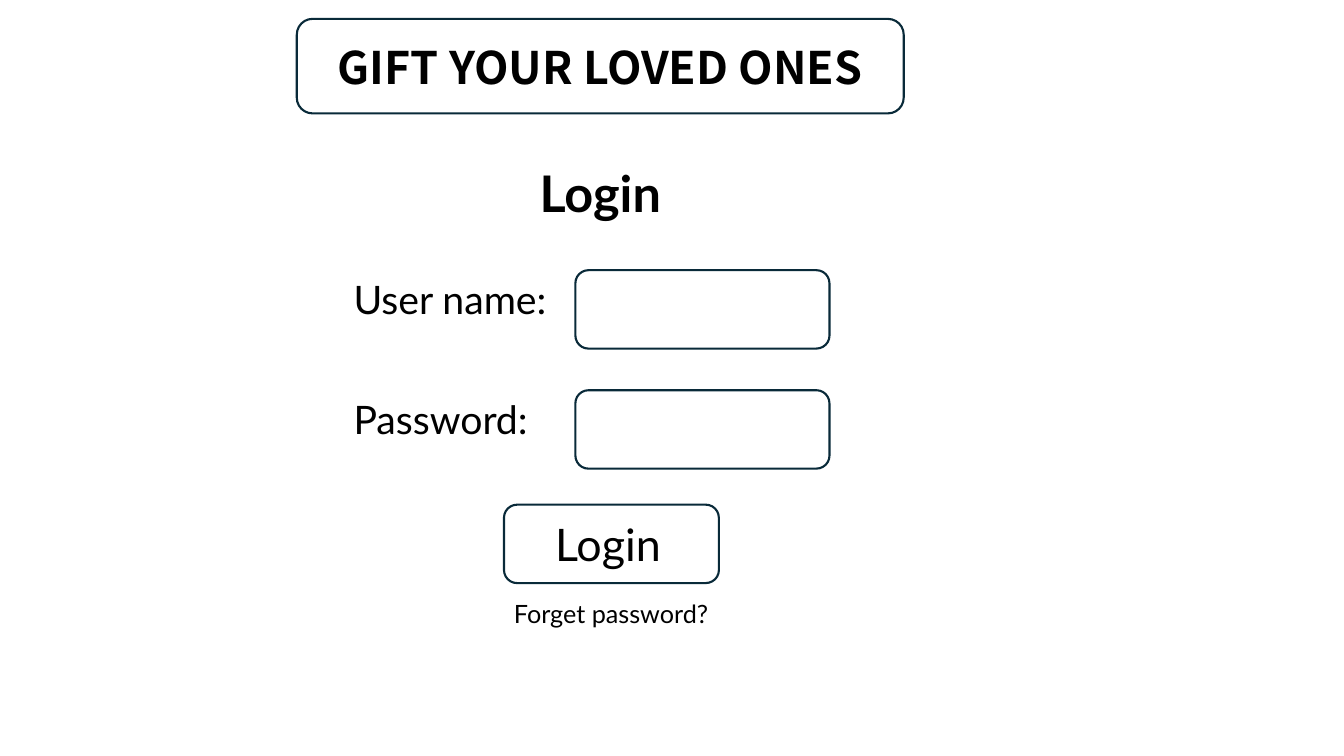
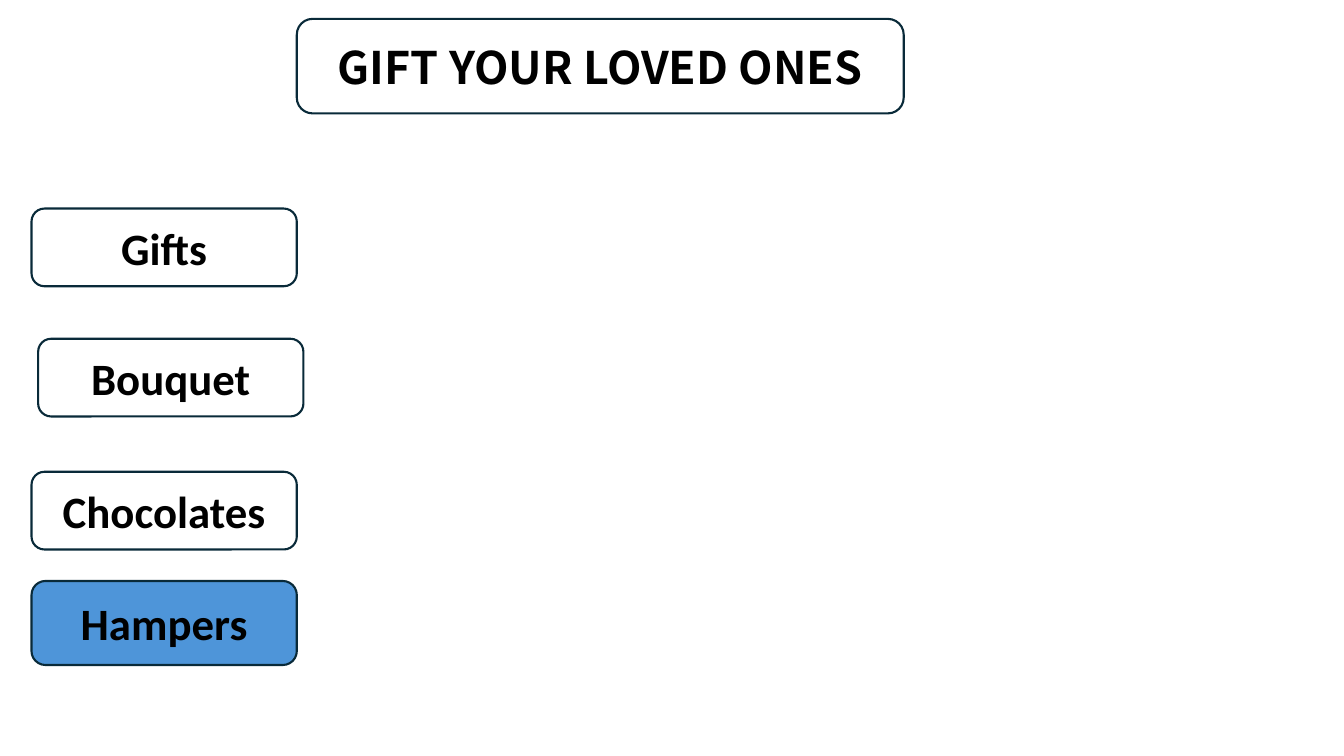
from pptx import Presentation
from pptx.dml.color import RGBColor
from pptx.enum.shapes import MSO_SHAPE as Preset
from pptx.enum.text import MSO_ANCHOR as Anchor, MSO_AUTO_SIZE as AutoSize, PP_ALIGN as Align
from pptx.util import Pt

COLOURS = {"outline": "092A39", "text": "000000", "white": "FFFFFF", "selected": "4E95D9"}
TITLE = "GIFT YOUR LOVED ONES"
BANNER = (212, 13.5, 433.5, 67.5)
TITLE_FONT = {"name": "Noto Sans CJK KR", "size": Pt(32), "bold": True}
HEADING_FONT = {"name": "Lato", "size": Pt(36), "bold": True}
LABEL_FONT = {"name": "Lato", "size": Pt(28)}
BUTTON_FONT = {"name": "Lato", "size": Pt(32)}
LINK_FONT = {"name": "Lato", "size": Pt(18)}
MENU_FONT = {"name": "Calibri", "size": Pt(32), "bold": True}

FIELDS = ["User name:", "Password:"]
FIELD_TOP, FIELD_STEP = 193, 85.75
LABEL_LEFT, LABEL_SIZE = 245.5, (165.5, 41)
FIELD_LEFT, FIELD_SIZE = 411, (181.5, 56)

# label, left, top, height, fill
MENU = [
    ("Gifts", 22.5, 149, 55.5, "white"),
    ("Bouquet", 27.25, 242, 55.5, "white"),
    ("Chocolates", 22.5, 337, 55.5, "white"),
    ("Hampers", 22.5, 415, 60, "selected"),
]
MENU_WIDTH = 189.5


def colour(name):
    return RGBColor.from_string(COLOURS[name])


def write(shape, text, font, align=Align.LEFT, anchor=Anchor.TOP):
    frame = shape.text_frame
    frame.text = text
    settings = {"word_wrap": True, "auto_size": AutoSize.NONE, "vertical_anchor": anchor}
    for name, value in settings.items():
        setattr(frame, name, value)
    paragraph = frame.paragraphs[0]
    paragraph.alignment = align
    run = paragraph.runs[0]
    for name, value in font.items():
        setattr(run.font, name, value)
    run.font.color.rgb = colour("text")


def add_box(slide, box, fill=None, text=None, font=None):
    """Add an outlined rounded rectangle, with centred text if any is given."""
    shape = slide.shapes.add_shape(Preset.ROUNDED_RECTANGLE, *map(Pt, box))
    shape.shadow.inherit = False
    shape.line.color.rgb = colour("outline")
    shape.line.width = Pt(1.5)
    if fill:
        shape.fill.solid()
        shape.fill.fore_color.rgb = colour(fill)
    else:
        shape.fill.background()
    if text:
        write(shape, text, font, Align.CENTER, Anchor.MIDDLE)
    return shape


def add_text(slide, box, text, font, align=Align.LEFT):
    write(slide.shapes.add_textbox(*map(Pt, box)), text, font, align)


def add_slide(presentation):
    """Add a slide with the shared title inside its outlined banner."""
    slide = presentation.slides.add_slide(presentation.slide_layouts[5])
    title = slide.shapes.title
    for name, value in zip(("left", "top", "width", "height"), BANNER):
        setattr(title, name, Pt(value))
    write(title, TITLE, TITLE_FONT, Align.CENTER, Anchor.MIDDLE)
    add_box(slide, BANNER)
    return slide


def build_login(presentation):
    slide = add_slide(presentation)
    add_text(slide, (352, 112.5, 153.5, 51), "Login", HEADING_FONT, Align.CENTER)
    for index, label in enumerate(FIELDS):
        top = FIELD_TOP + index * FIELD_STEP
        add_text(slide, (LABEL_LEFT, top, *LABEL_SIZE), label, LABEL_FONT)
        add_box(slide, (FIELD_LEFT, top, *FIELD_SIZE))
    button = add_box(slide, (360, 360.5, 153.5, 56), text="Login", font=BUTTON_FONT)
    button.text_frame.margin_right = Pt(12)
    add_text(slide, (360, 424, 181.5, 29), "Forget password?", LINK_FONT)


def build_menu(presentation):
    slide = add_slide(presentation)
    for label, left, top, height, fill in MENU:
        add_box(slide, (left, top, MENU_WIDTH, height), fill, label, MENU_FONT)


def main():
    presentation = Presentation()
    presentation.slide_width, presentation.slide_height = Pt(960), Pt(540)
    build_login(presentation)
    build_menu(presentation)
    presentation.save("out.pptx")


if __name__ == "__main__":
    main()
